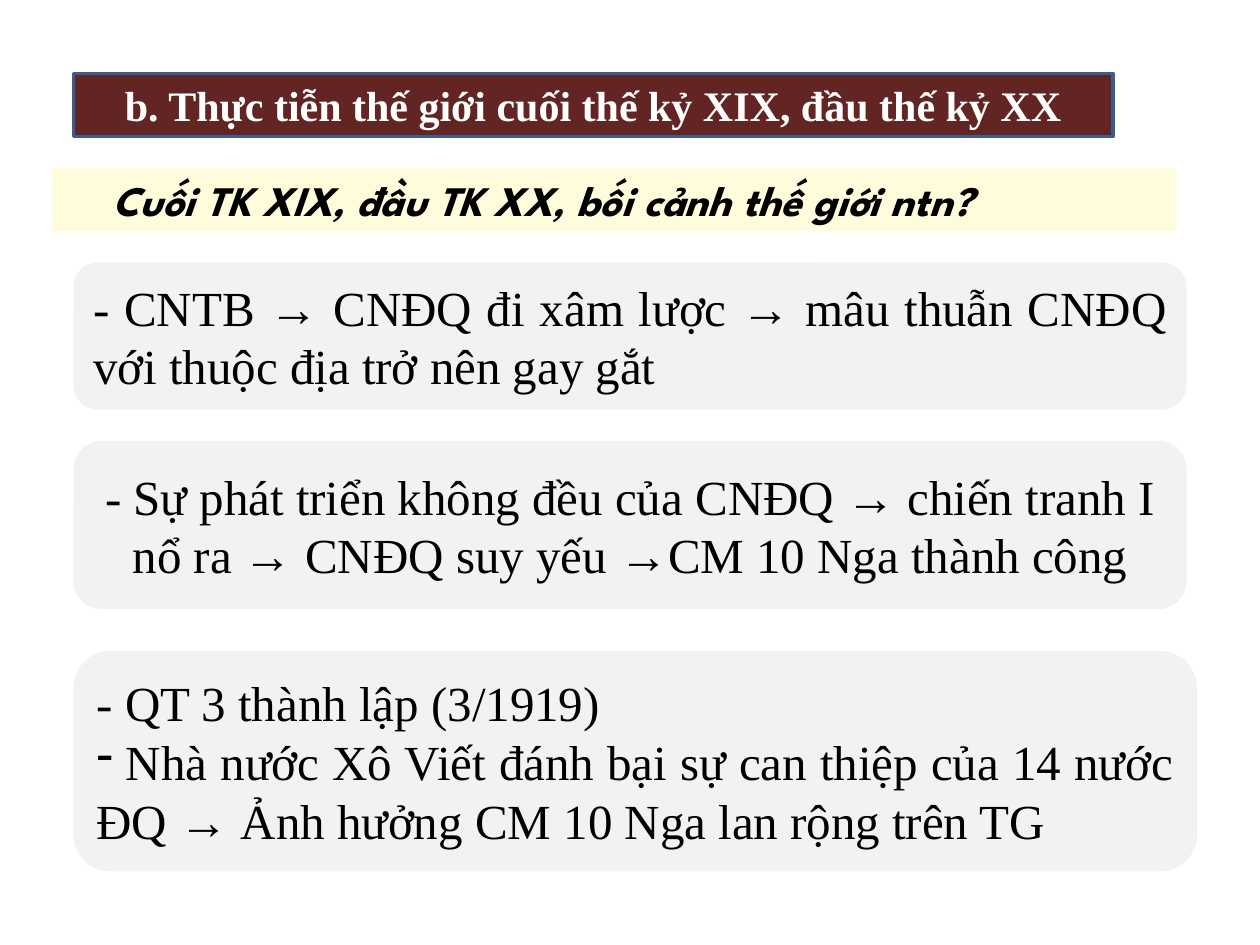
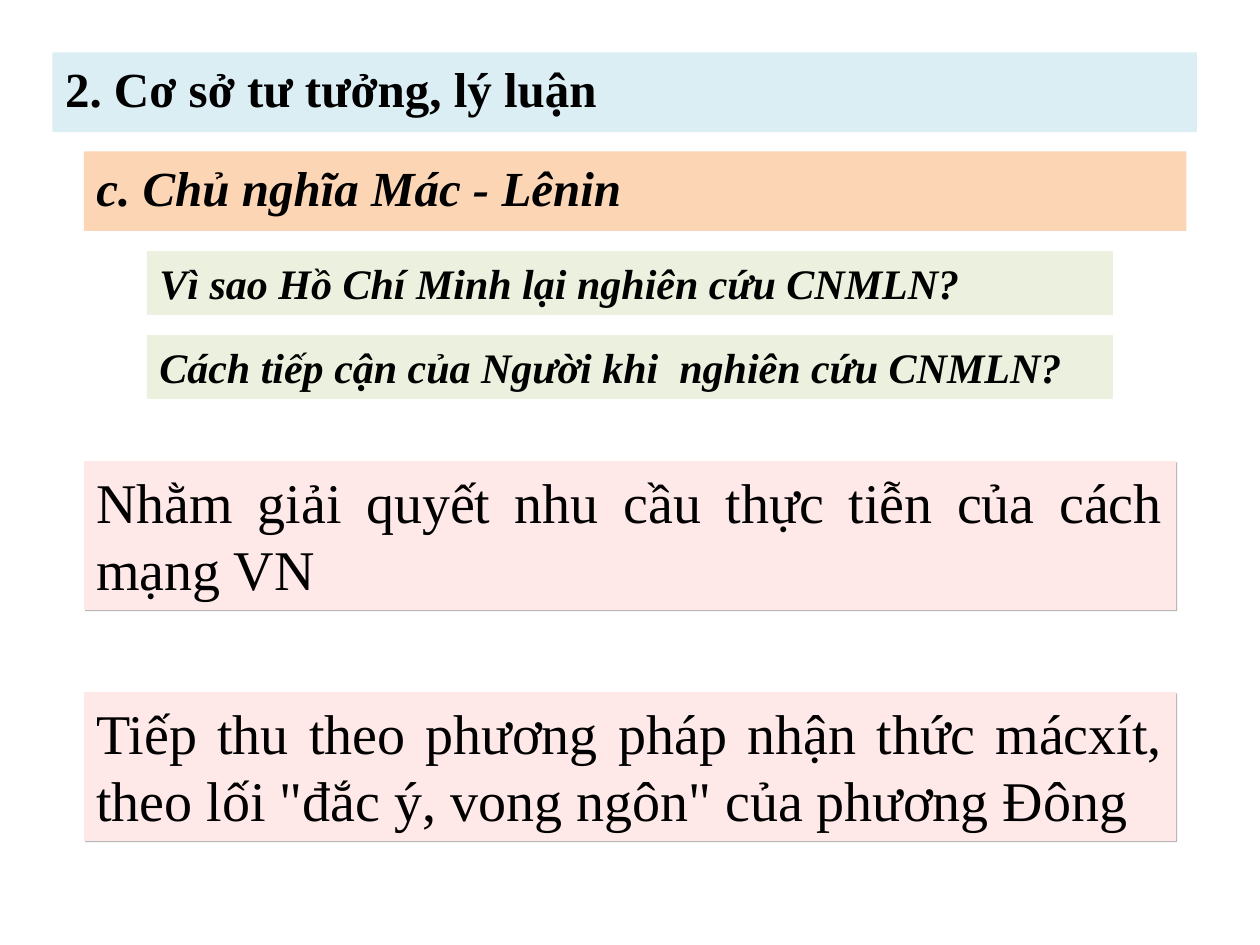
from lxml import etree
from pptx import Presentation
from pptx.dml.color import RGBColor
from pptx.enum import shapes, text
from pptx.oxml.ns import qn
from pptx.util import Pt

SERIF = "Times New Roman"
DISPLAY = "League Spartan"
BLACK, WHITE = "000000", "FFFFFF"
MAROON, NAVY = "632523", "3A5F8C"
CREAM, GREY, SKY = "FEFCDA", "F2F2F2", "DBEEF4"
PEACH, GREEN, PINK, EDGE = "FCD5B5", "EBF1DE", "FFE8E8", "B8B8B8"
LEFT, CENTER, JUSTIFY = (text.PP_ALIGN.LEFT, text.PP_ALIGN.CENTER,
                         text.PP_ALIGN.JUSTIFY)
TOP, MIDDLE = text.MSO_ANCHOR.TOP, text.MSO_ANCHOR.MIDDLE


def rgb(value):
    return RGBColor.from_string(value)


def place(box, left, top, width, height):
    box.left, box.top = Pt(left), Pt(top)
    box.width, box.height = Pt(width), Pt(height)


def paint(box, fill, line=None):
    box.fill.solid()
    box.fill.fore_color.rgb = rgb(fill)
    if line:
        box.line.color.rgb = rgb(line)
        box.line.width = Pt(2)
    else:
        box.line.fill.background()


def add_dash(para):
    bullet = etree.SubElement(para._p.get_or_add_pPr(), qn("a:buChar"))
    bullet.set("char", "-")


def write(box, lines, size, align=LEFT, anchor=TOP, color=BLACK, name=SERIF,
          bold=False, italic=False, indent=0, dashed=()):
    frame = box.text_frame
    frame.word_wrap = True
    frame.auto_size = text.MSO_AUTO_SIZE.NONE
    frame.vertical_anchor = anchor
    frame.text = "\n".join(lines)
    for index, para in enumerate(frame.paragraphs):
        para.alignment = align
        if indent:
            para._p.get_or_add_pPr().set("marL", str(Pt(indent)))
        if index in dashed:
            add_dash(para)
        font = para.font
        font.name, font.size = name, Pt(size)
        font.bold, font.italic = bold, italic
        font.color.rgb = rgb(color)


def add_title(page, area, line, fill, outline=None, **style):
    box = page.shapes.title
    place(box, *area)
    paint(box, fill, outline)
    write(box, [line], bold=True, **style)


def add_panel(page, area, lines, fill, kind=shapes.MSO_SHAPE.RECTANGLE, **style):
    box = page.shapes.add_shape(kind, *map(Pt, area))
    box.shadow.inherit = False
    paint(box, fill)
    write(box, lines, **style)
    return box


def add_edge(box):
    effects = box._element.spPr.find(qn("a:effectLst"))
    shadow = etree.SubElement(effects, qn("a:outerShdw"), dist=str(Pt(1)),
                              dir="2700000", algn="tl", rotWithShape="0")
    etree.SubElement(shadow, qn("a:srgbClr"), val=EDGE)


def build_world_context(page):
    add_title(page, (42, 42, 594, 36),
              "b. Thực tiễn thế giới cuối thế kỷ XIX, đầu thế kỷ XX",
              MAROON, NAVY, size=24, align=CENTER, anchor=MIDDLE, color=WHITE)
    add_panel(page, (30, 96, 642, 36),
              ["Cuối TK XIX, đầu TK XX, bối cảnh thế giới ntn?"], CREAM,
              size=24, name=DISPLAY, bold=True, italic=True, indent=27)
    points = [
        (150, 636, 84, JUSTIFY,
         ["- CNTB → CNĐQ đi xâm lược → mâu thuẫn CNĐQ với thuộc địa "
          "trở nên gay gắt"], ()),
        (252, 636, 96, CENTER,
         ["- Sự phát triển không đều của CNĐQ → chiến tranh I nổ ra → "
          "CNĐQ suy yếu →CM 10 Nga thành công"], ()),
        (372, 642, 126, JUSTIFY,
         ["- QT 3 thành lập (3/1919)",
          " Nhà nước Xô Viết đánh bại sự can thiệp của 14 nước ĐQ → "
          "Ảnh hưởng CM 10 Nga lan rộng trên TG"], (1,)),
    ]
    for top, width, height, align, lines, dashed in points:
        add_panel(page, (42, top, width, height), lines, GREY,
                  shapes.MSO_SHAPE.ROUNDED_RECTANGLE, size=28, align=align,
                  anchor=MIDDLE, dashed=dashed)


def build_ideology(page):
    add_title(page, (30, 30, 654, 45.5), "2. Cơ sở tư tưởng, lý luận", SKY,
              size=28)
    add_panel(page, (48, 86.5, 630, 45.5), ["c. Chủ nghĩa Mác - Lênin"], PEACH,
              size=28, bold=True, italic=True)
    questions = ["Vì sao Hồ Chí Minh lại nghiên cứu CNMLN?",
                 "Cách tiếp cận của Người khi  nghiên cứu CNMLN?"]
    for index, question in enumerate(questions):
        add_panel(page, (84, 143.5 + 48 * index, 552, 36.5), [question], GREEN,
                  size=24, bold=True, italic=True)
    answers = ["Nhằm giải quyết nhu cầu thực tiễn của cách mạng VN",
               'Tiếp thu theo phương pháp nhận thức mácxít, theo lối '
               '"đắc ý, vong ngôn" của phương Đông']
    for index, answer in enumerate(answers):
        box = add_panel(page, (48, 263.5 + 132 * index, 624, 85), [answer],
                        PINK, size=32, align=JUSTIFY)
        add_edge(box)


def main():
    deck = Presentation()
    deck.slide_width, deck.slide_height = Pt(720), Pt(540)
    title_only = deck.slide_layouts[5]
    for build in (build_world_context, build_ideology):
        build(deck.slides.add_slide(title_only))
    deck.save("out.pptx")


if __name__ == "__main__":
    main()
